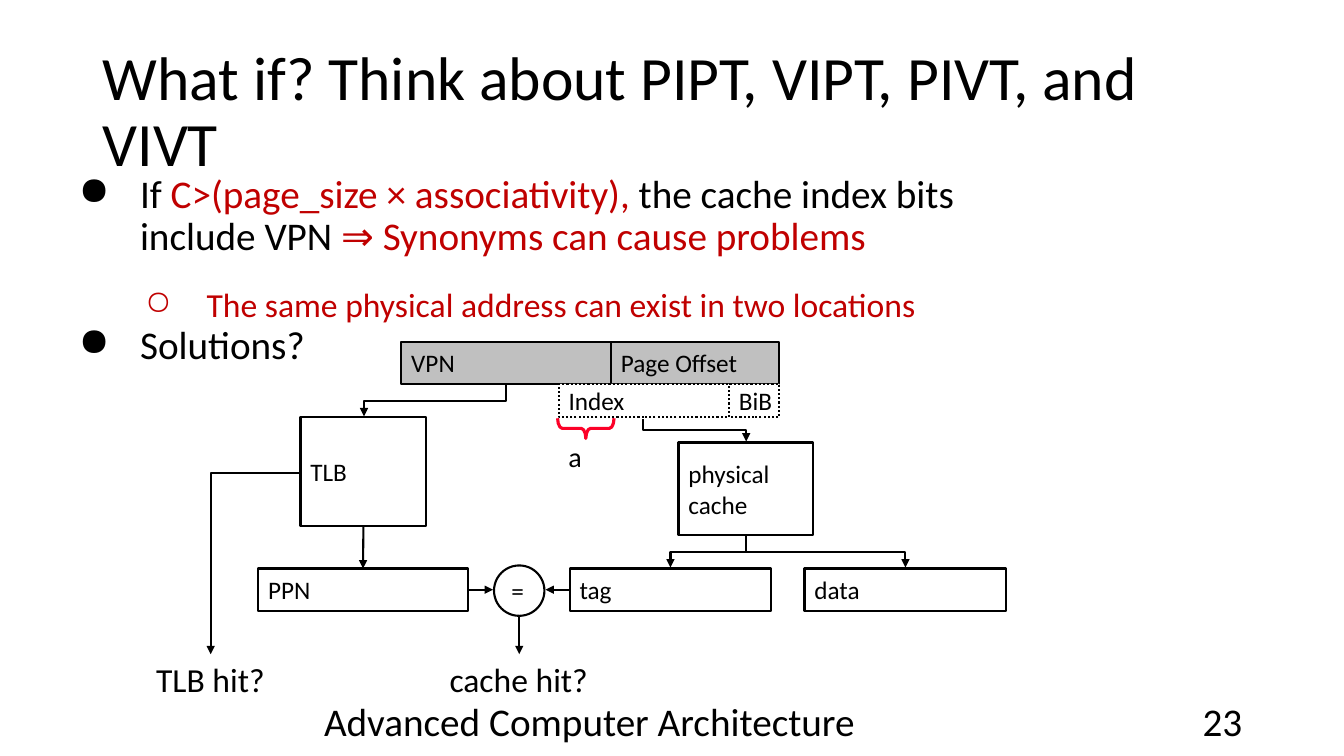
from dataclasses import dataclass
from typing import Any

import lxml.etree
import pptx
import pptx.dml.color
import pptx.enum.dml
import pptx.enum.shapes
import pptx.enum.text
import pptx.oxml.ns
import pptx.util

Inches = pptx.util.Inches
Pt = pptx.util.Pt
Shape = pptx.enum.shapes.MSO_SHAPE
Link = pptx.enum.shapes.MSO_CONNECTOR
Align = pptx.enum.text.PP_ALIGN
Anchor = pptx.enum.text.MSO_ANCHOR
Dash = pptx.enum.dml.MSO_LINE
qn = pptx.oxml.ns.qn

BLACK, WHITE, GRAY, RED, PINK = "000000", "FFFFFF", "C0C0C0", "C00000", "FC0128"
TOP, LEFT, BOTTOM, RIGHT = range(4)


@dataclass
class Block:
    text: str
    left: float
    top: float
    width: float
    height: float
    fill: str = WHITE
    dash: Any = None
    outline: Any = Shape.RECTANGLE


@dataclass
class Label:
    text: str
    left: float
    top: float
    width: float
    height: float
    size: float
    align: Any = Align.LEFT
    anchor: Any = Anchor.MIDDLE
    wrap: bool = True
    spacing: float = 1.0


@dataclass
class Bullet:
    runs: list[tuple[str, str]]
    mark: str = "●"
    level: int = 0
    size: float = 28
    indent: float = 0.67
    before: float = 0


@dataclass
class Elbow:
    x1: float
    y1: float
    x2: float
    y2: float


def color(value: str) -> pptx.dml.color.RGBColor:
    return pptx.dml.color.RGBColor.from_string(value)


def apply(target: Any, values: dict[str, Any]) -> None:
    for name, value in values.items():
        setattr(target, name, value)


def add_run(paragraph: Any, text: str, size: float, tint: str = BLACK) -> None:
    run = paragraph.add_run()
    run.text = text
    apply(run.font, {"name": "Calibri", "size": Pt(size)})
    run.font.color.rgb = color(tint)


def add_lines(frame: Any, text: str, size: float, values: dict[str, Any]) -> None:
    for number, line in enumerate(text.split("\n")):
        paragraph = frame.add_paragraph() if number else frame.paragraphs[0]
        apply(paragraph, values)
        add_run(paragraph, line, size)


def add_block(slide: Any, block: Block) -> Any:
    shape = slide.shapes.add_shape(
        block.outline, Inches(block.left), Inches(block.top), Inches(block.width), Inches(block.height))
    shape.shadow.inherit = False
    shape.fill.solid()
    shape.fill.fore_color.rgb = color(block.fill)
    shape.line.color.rgb = color(BLACK)
    apply(shape.line, {"width": Pt(1.5), "dash_style": block.dash})
    apply(shape.text_frame, {"word_wrap": False, "vertical_anchor": Anchor.MIDDLE})
    add_lines(shape.text_frame, block.text, 18, {"alignment": Align.LEFT})
    return shape


def add_label(slide: Any, label: Label) -> None:
    box = slide.shapes.add_textbox(
        Inches(label.left), Inches(label.top), Inches(label.width), Inches(label.height))
    apply(box.text_frame, {"word_wrap": label.wrap, "vertical_anchor": label.anchor})
    add_lines(box.text_frame, label.text, label.size,
              {"alignment": label.align, "line_spacing": label.spacing})


def add_bullets(slide: Any, bullets: list[Bullet]) -> None:
    box = slide.shapes.add_textbox(Inches(0.62), Inches(1.63), Inches(9.42), Inches(5.68))
    frame = box.text_frame
    sides = ("left", "top", "right", "bottom")
    apply(frame, {"word_wrap": True, **{f"margin_{side}": Inches(0.1) for side in sides}})
    for number, bullet in enumerate(bullets):
        paragraph = frame.add_paragraph() if number else frame.paragraphs[0]
        apply(paragraph, {"level": bullet.level, "line_spacing": 0.9, "space_before": Pt(bullet.before)})
        properties = paragraph._p.get_or_add_pPr()
        properties.set("marL", str(Inches(bullet.indent)))
        properties.set("indent", str(Inches(-0.61)))
        lxml.etree.SubElement(properties, qn("a:buChar")).set("char", bullet.mark)
        for text, tint in bullet.runs:
            add_run(paragraph, text, bullet.size, tint)


def add_arrow(slide: Any, kind: Any, x1: float, y1: float, x2: float, y2: float) -> Any:
    arrow = slide.shapes.add_connector(kind, Inches(x1), Inches(y1), Inches(x2), Inches(y2))
    arrow.line.color.rgb = color(BLACK)
    arrow.line.width = Pt(1.5)
    lxml.etree.SubElement(arrow.line._get_or_add_ln(), qn("a:tailEnd")).set("type", "triangle")
    lxml.etree.SubElement(arrow._element.spPr, qn("a:effectLst"))
    return arrow


def add_drop(slide: Any, elbow: Elbow) -> None:
    center_x, center_y = (elbow.x1 + elbow.x2) / 2, (elbow.y1 + elbow.y2) / 2
    half_run, half_drop = abs(elbow.x2 - elbow.x1) / 2, (elbow.y2 - elbow.y1) / 2
    rightward = elbow.x2 > elbow.x1
    reach = -half_drop if rightward else half_drop
    arrow = add_arrow(slide, Link.ELBOW, center_x - reach, center_y - half_run,
                      center_x + reach, center_y + half_run)
    arrow._element.spPr.find(qn("a:xfrm")).set("rot", str((270 if rightward else 90) * 60000))


def add_brace(slide: Any) -> None:
    brace = slide.shapes.add_shape(
        Shape.RIGHT_BRACE, Inches(5.71), Inches(3.97), Inches(0.2), Inches(0.56))
    brace.rotation = 90
    brace.adjustments[0] = 0.23
    brace.adjustments[1] = 0.5
    brace.shadow.inherit = False
    brace.fill.background()
    brace.line.color.rgb = color(PINK)
    brace.line.width = Pt(2.25)


LABELS = [
    Label("What if? Think about PIPT, VIPT, PIVT, and VIVT", 0.92, 0.4, 11.5, 1.45, 44, spacing=0.9),
    Label("23", 9.42, 6.95, 3, 0.4, 28, Align.RIGHT),
    Label("Advanced Computer Architecture", 2.82, 6.95, 6.05, 0.4, 28, Align.CENTER),
    Label("cache hit?", 4.36, 6.49, 1.59, 0.51, 24, anchor=Anchor.TOP, wrap=False),
    Label("TLB hit?", 1.45, 6.49, 1.29, 0.51, 24, anchor=Anchor.TOP, wrap=False),
    Label("a", 5.54, 4.31, 0.34, 0.44, 20, anchor=Anchor.TOP, wrap=False),
]
BULLETS = [
    Bullet([("If ", BLACK), ("C>(page_size × associativity), ", RED),
            ("the cache index bits include VPN ", BLACK), ("⇒ Synonyms can cause problems", RED)]),
    Bullet([("The same physical address can exist in two locations", RED)], "○", 1, 24, 1.33, 21.3),
    Bullet([("Solutions?", BLACK)]),
]
BLOCKS = [
    Block("VPN", 3.98, 3.39, 2.08, 0.42, GRAY),
    Block("Page Offset", 6.06, 3.39, 1.67, 0.42, GRAY),
    Block("TLB", 2.98, 4.14, 1.25, 1.08),
    Block("PPN", 2.56, 5.64, 2.08, 0.42),
    Block("Index", 5.54, 3.81, 1.69, 0.33, dash=Dash.ROUND_DOT),
    Block("BiB", 7.23, 3.81, 0.5, 0.33, dash=Dash.ROUND_DOT),
    Block("physical\ncache", 6.73, 4.39, 1.33, 0.92),
    Block("tag", 5.65, 5.64, 2, 0.42),
    Block("data", 7.98, 5.64, 2, 0.42),
    Block("=", 4.9, 5.61, 0.5, 0.5, outline=Shape.OVAL),
]
DROPS = [
    Elbow(5.02, 3.82, 3.61, 4.13),
    Elbow(6.38, 4.16, 7.4, 4.38),
    Elbow(7.4, 5.32, 6.65, 5.63),
    Elbow(7.4, 5.32, 8.98, 5.63),
]


def main() -> None:
    deck = pptx.Presentation()
    apply(deck, {"slide_width": Inches(13.33), "slide_height": Inches(7.5)})
    slide = deck.slides.add_slide(deck.slide_layouts[6])
    for label in LABELS:
        add_label(slide, label)
    add_bullets(slide, BULLETS)
    parts = {block.text: add_block(slide, block) for block in BLOCKS}
    for drop in DROPS:
        add_drop(slide, drop)
    translation = add_arrow(slide, Link.STRAIGHT, 3.6, 5.22, 3.6, 5.64)
    translation.begin_connect(parts["TLB"], BOTTOM)
    translation.end_connect(parts["PPN"], TOP)
    add_arrow(slide, Link.STRAIGHT, 4.64, 5.85, 4.89, 5.85).begin_connect(parts["PPN"], RIGHT)
    add_arrow(slide, Link.STRAIGHT, 5.65, 5.85, 5.41, 5.85).begin_connect(parts["tag"], LEFT)
    add_arrow(slide, Link.STRAIGHT, 5.15, 6.11, 5.15, 6.49)
    tlb_hit = add_arrow(slide, Link.ELBOW, 2.98, 4.69, 2.09, 6.49)
    tlb_hit._element.spPr.find(qn("a:prstGeom")).set("prst", "bentConnector2")
    add_brace(slide)
    deck.save("out.pptx")


if __name__ == "__main__":
    main()
